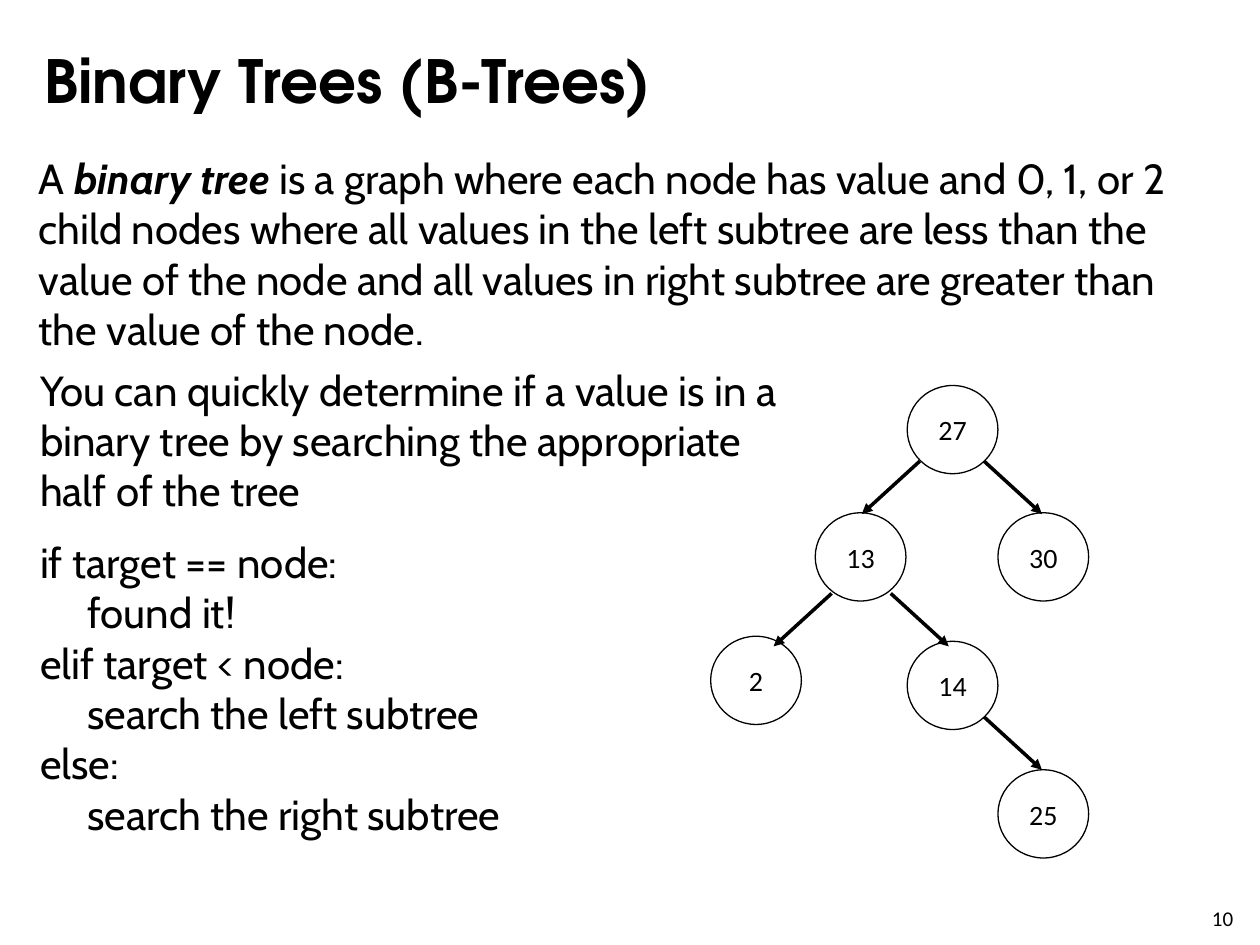
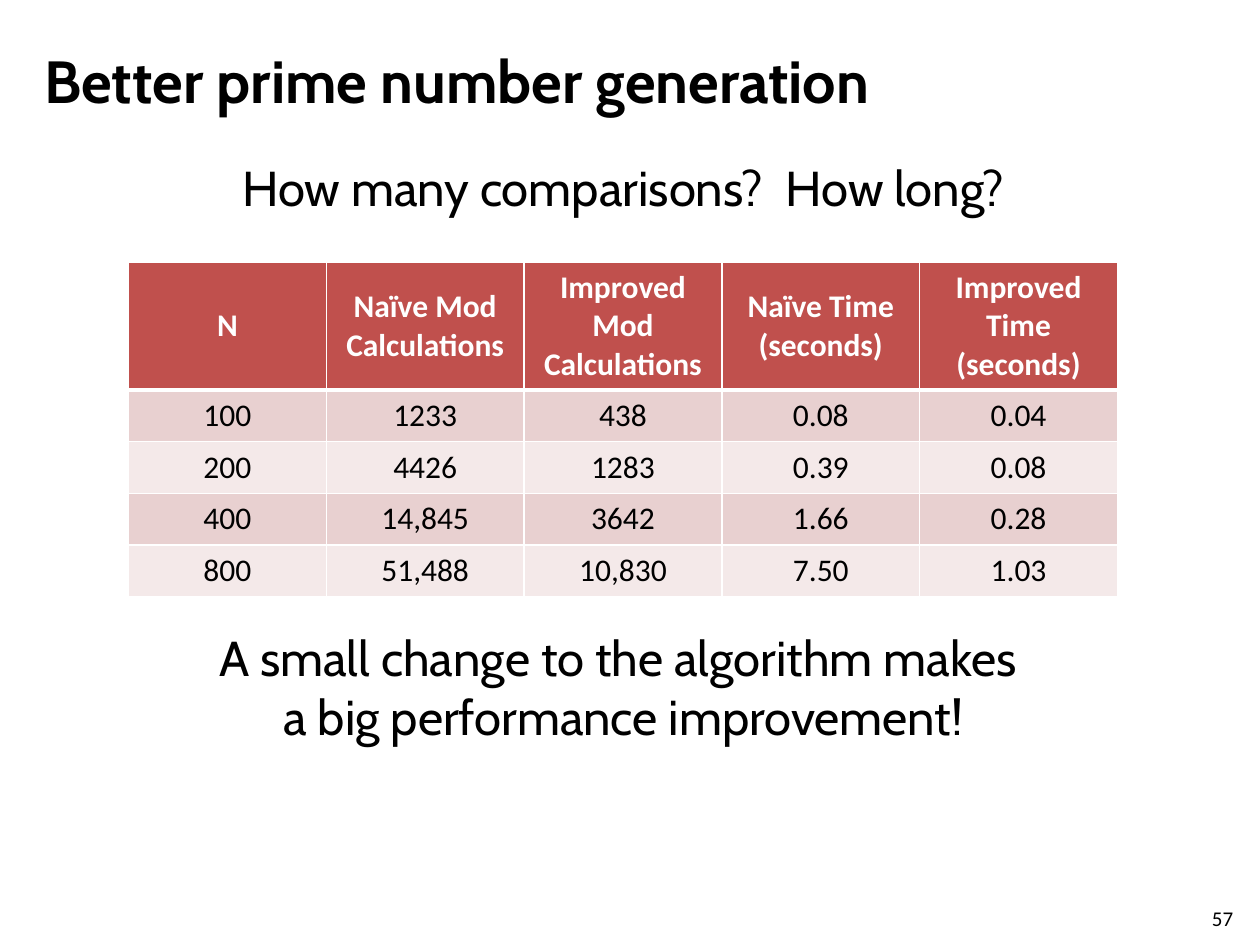
from lxml.etree import SubElement
from pptx import Presentation
from pptx.dml.color import RGBColor
from pptx.enum.shapes import MSO_CONNECTOR, MSO_SHAPE
from pptx.enum.text import MSO_ANCHOR, MSO_AUTO_SIZE, PP_ALIGN
from pptx.oxml.ns import qn
from pptx.util import Inches, Pt

COLORS = {"ink": "000000", "paper": "FFFFFF", "header": "C0504D",
          "band_dark": "E8D0D0", "band_light": "F4E9E9"}
BODY = {"name": "Cabin", "size": Pt(24)}
CALLOUT = {"name": "Cabin", "size": Pt(28)}
NODE = {"name": "Calibri", "size": Pt(16)}
CELL = {"name": "Calibri", "size": Pt(18), "bold": False}
HEADER_CELL = {**CELL, "bold": True}
PAGE_NUMBER = {"name": "Calibri", "size": Pt(12)}
TITLE = {"size": Pt(34), "bold": True}


class Deck:
    """Hold the shared style and the current slide, and add elements to it."""

    def __init__(self):
        self.presentation = Presentation()
        self.presentation.slide_width = Inches(10)
        self.presentation.slide_height = Inches(7.5)
        self.slide = None

    def color(self, name):
        return RGBColor.from_string(COLORS[name])

    def format_font(self, font, values, color="ink"):
        for attribute, value in values.items():
            setattr(font, attribute, value)
        font.color.rgb = self.color(color)

    def format_frame(self, frame, anchor=MSO_ANCHOR.TOP):
        values = {"word_wrap": True, "vertical_anchor": anchor,
                  "auto_size": MSO_AUTO_SIZE.NONE}
        for attribute, value in values.items():
            setattr(frame, attribute, value)

    def fill_text(self, frame, lines, values, align=PP_ALIGN.LEFT, color="ink"):
        frame.text = "\n".join(lines)
        for paragraph in frame.paragraphs:
            paragraph.alignment = align
            for run in paragraph.runs:
                self.format_font(run.font, values, color)

    def new_slide(self, title, font_name, number):
        self.slide = self.presentation.slides.add_slide(
            self.presentation.slide_layouts[5])
        shape = self.slide.shapes.title
        bounds = {"left": 0.25, "top": 0.3, "width": 9.5, "height": 0.7}
        for attribute, value in bounds.items():
            setattr(shape, attribute, Inches(value))
        self.format_frame(shape.text_frame)
        self.fill_text(shape.text_frame, [title], {**TITLE, "name": font_name})
        self.text(9.52, 7.14, 0.4, 0.24, [str(number)], PAGE_NUMBER)

    def text(self, left, top, width, height, lines, values, align=PP_ALIGN.LEFT):
        shape = self.slide.shapes.add_textbox(
            Inches(left), Inches(top), Inches(width), Inches(height))
        self.format_frame(shape.text_frame)
        self.fill_text(shape.text_frame, lines, values, align)
        return shape.text_frame

    def rich_text(self, left, top, width, height, pieces, values):
        frame = self.text(left, top, width, height, [], values)
        for words, emphasis in pieces:
            run = frame.paragraphs[0].add_run()
            run.text = words
            self.format_font(run.font, {**values, "bold": emphasis, "italic": emphasis})

    def node(self, label, left, top):
        shape = self.slide.shapes.add_shape(
            MSO_SHAPE.OVAL, Inches(left), Inches(top), Inches(0.72), Inches(0.7))
        shape.shadow.inherit = False
        shape.fill.background()
        shape.line.color.rgb = self.color("ink")
        shape.line.width = Pt(0.75)
        self.format_frame(shape.text_frame, MSO_ANCHOR.MIDDLE)
        self.fill_text(shape.text_frame, [label], NODE, PP_ALIGN.CENTER)

    def arrow(self, left, top, right, bottom):
        connector = self.slide.shapes.add_connector(
            MSO_CONNECTOR.STRAIGHT, Inches(left), Inches(top), Inches(right), Inches(bottom))
        connector.line.color.rgb = self.color("ink")
        connector.line.width = Pt(2)
        properties = connector._element.spPr
        SubElement(properties.find(qn("a:ln")), qn("a:tailEnd"), type="triangle")
        SubElement(properties, qn("a:effectLst"))

    def cell_borders(self, cell, bottom_width, top_width):
        properties = cell._tc.get_or_add_tcPr()
        widths = {"lnL": 1, "lnR": 1, "lnT": top_width, "lnB": bottom_width}
        for side, width in widths.items():
            line = SubElement(properties, qn(f"a:{side}"), w=str(int(Pt(width))))
            fill = SubElement(line, qn("a:solidFill"))
            SubElement(fill, qn("a:srgbClr"), val=COLORS["paper"])

    def table(self, left, top, column_width, row_heights, rows):
        columns = len(rows[0])
        table = self.slide.shapes.add_table(
            len(rows), columns, Inches(left), Inches(top),
            Inches(column_width * columns), Inches(sum(row_heights))).table
        table.horz_banding = False
        for column in table.columns:
            column.width = Inches(column_width)
        for index, values in enumerate(rows):
            table.rows[index].height = Inches(row_heights[index])
            is_header = index == 0
            band = "band_dark" if index % 2 else "band_light"
            for column, value in enumerate(values):
                cell = table.cell(index, column)
                self.cell_borders(cell, 3 if is_header else 1, 3 if index == 1 else 1)
                cell.fill.solid()
                cell.fill.fore_color.rgb = self.color("header" if is_header else band)
                cell.vertical_anchor = MSO_ANCHOR.MIDDLE if is_header else MSO_ANCHOR.TOP
                self.fill_text(cell.text_frame, [value], HEADER_CELL if is_header else CELL,
                               PP_ALIGN.CENTER, "paper" if is_header else "ink")


def binary_trees(deck):
    deck.new_slide("Binary Trees (B-Trees)", "TeX Gyre Adventor", 10)
    deck.rich_text(0.21, 1.16, 9.5, 1.43, [
        ("A ", False),
        ("binary tree ", True),
        ("is a graph where each node has value and 0, 1, or 2 child nodes where all "
         "values in the left subtree are less than the value of the node and all values "
         "in right subtree are greater than the value of the node.", False),
    ], BODY)
    search = deck.text(0.22, 2.84, 6.26, 3.9, [
        "You can quickly determine if a value is in a binary tree by searching "
        "the appropriate half of the tree",
        "if target == node:",
        "     found it!",
        "elif target < node:",
        "     search the left subtree",
        "else:",
        "     search the right subtree",
    ], BODY)
    search.paragraphs[0].space_after = Pt(12)

    nodes = [("27", 7.2, 3.06), ("13", 6.47, 4.07), ("30", 7.92, 4.07),
             ("2", 5.64, 5.05), ("14", 7.2, 5.09), ("25", 7.92, 6.11)]
    for label, left, top in nodes:
        deck.node(label, left, top)
    branches = [(7.3, 3.66, -1), (7.81, 3.66, 1), (6.6, 4.71, -1),
                (7.07, 4.71, 1), (7.81, 5.69, 1)]
    for left, top, direction in branches:
        deck.arrow(left, top, left + direction * 0.46, top + 0.42)


def prime_numbers(deck):
    deck.new_slide("Better prime number generation", "Cabin", 57)
    deck.text(0.25, 1.2, 9.39, 0.6, ["How many comparisons?  How long?"],
              CALLOUT, PP_ALIGN.CENTER)
    deck.table(1.02, 2.08, 1.57, [1.0] + [0.41] * 4, [
        ["N", "Naïve Mod Calculations", "Improved\nMod Calculations",
         "Naïve Time (seconds)", "Improved Time (seconds)"],
        ["100", "1233", "438", "0.08", "0.04"],
        ["200", "4426", "1283", "0.39", "0.08"],
        ["400", "14,845", "3642", "1.66", "0.28"],
        ["800", "51,488", "10,830", "7.50", "1.03"],
    ])
    deck.text(0.25, 4.93, 9.39, 1.1, [
        "A small change to the algorithm makes ",
        "a big performance improvement!",
    ], CALLOUT, PP_ALIGN.CENTER)


def main():
    deck = Deck()
    binary_trees(deck)
    prime_numbers(deck)
    deck.presentation.save("out.pptx")


if __name__ == "__main__":
    main()
